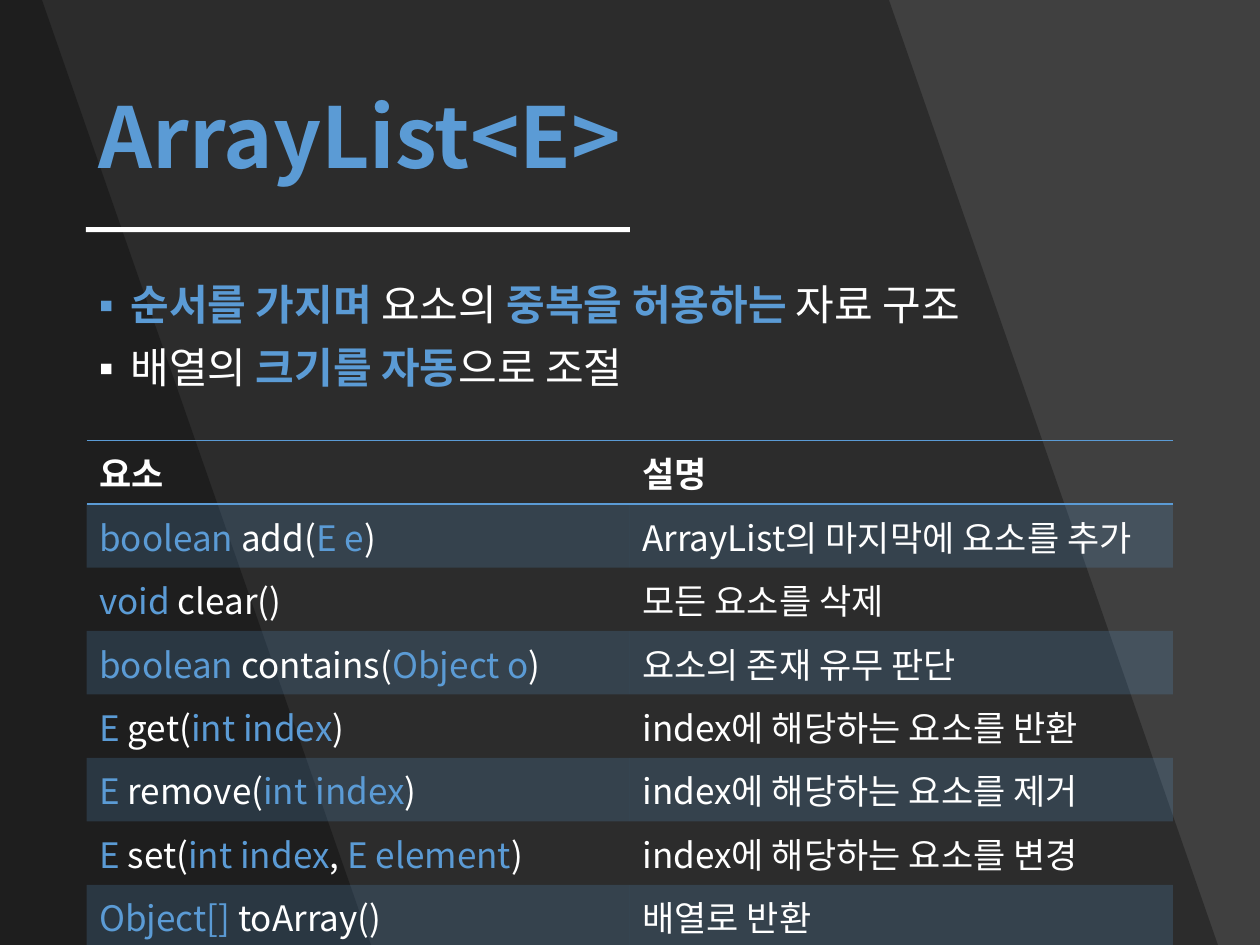
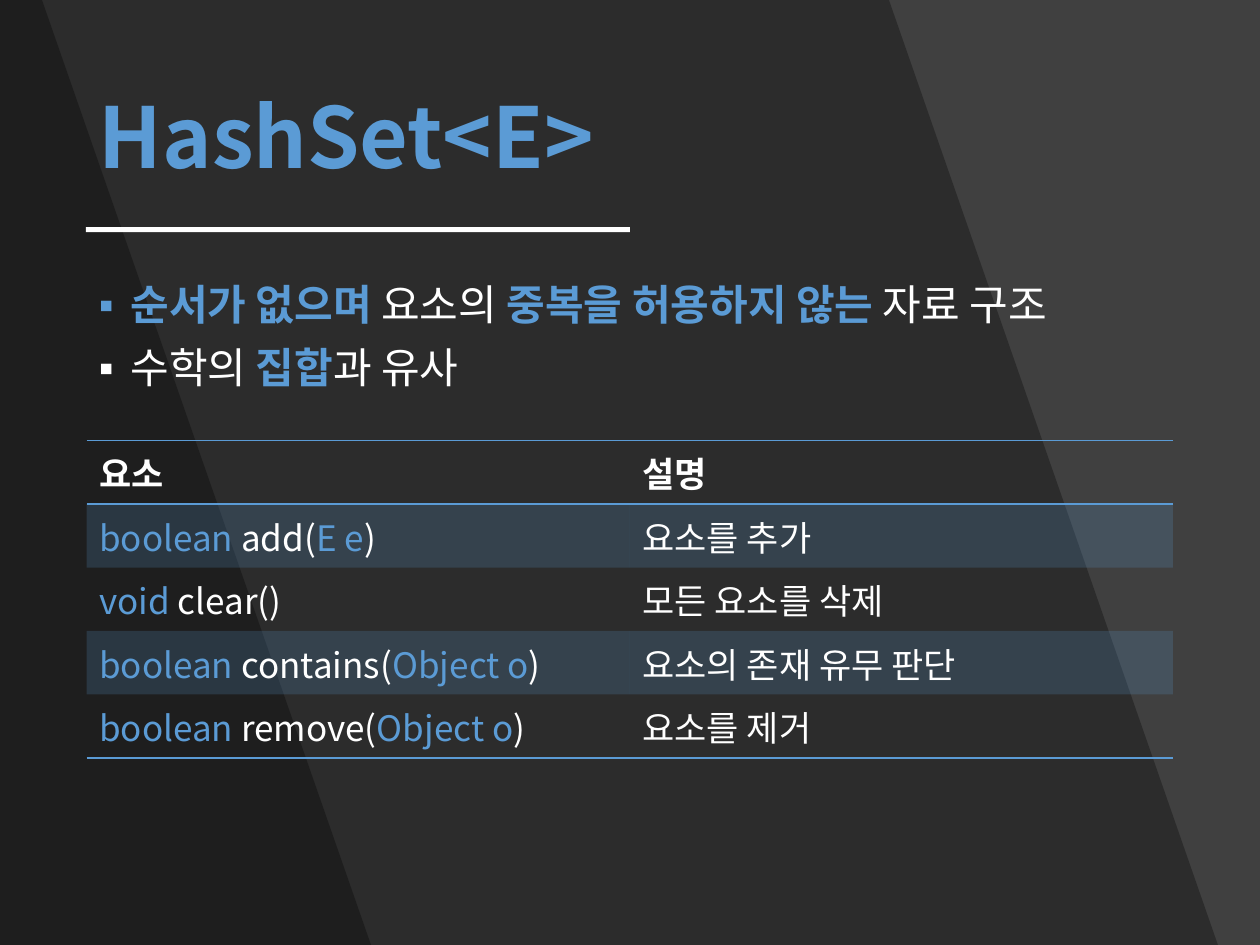
"""Build two slides on Java collections, each with a title, bullets and a method table."""
from lxml import etree
from pptx import Presentation
from pptx.dml.color import RGBColor
from pptx.enum import shapes, text
from pptx.oxml import ns
from pptx.util import Pt

ACCENT, WHITE, BLACK, BACKGROUND = "5B9BD5", "FFFFFF", "000000", "404040"
FONT, BULLET_FONT = "Noto Sans CJK KR", "Arial"
WIDTH, HEIGHT = 720, 540
LEFT, CONTENT_WIDTH = 49.5, 620.8
TABLE_TOP, ROW_HEIGHT = 251.8, 36.27
BAND_EDGES = [(508.5, 696.2), (23.8, 211.5)]
NO_STYLE = "{2D5ABB26-0587-4C30-8999-92F81FD0307C}"

HEADER = ("요소", "설명")
SLIDES = [
    {
        "title": "|ArrayList<E>|",
        "bullets": [
            "|순서를 가지며| 요소의 |중복을 허용하는| 자료 구조",
            "배열의 |크기를 자동|으로 조절",
        ],
        "methods": [
            ("|boolean| add(|E e|)", "ArrayList의 마지막에 요소를 추가"),
            ("|void| clear()", "모든 요소를 삭제"),
            ("|boolean| contains(|Object o|)", "요소의 존재 유무 판단"),
            ("|E| get(|int index|)", "index에 해당하는 요소를 반환"),
            ("|E| remove(|int index|)", "index에 해당하는 요소를 제거"),
            ("|E| set(|int index|, |E element|)", "index에 해당하는 요소를 변경"),
            ("|Object[] |toArray()", "배열로 반환"),
        ],
    },
    {
        "title": "|HashSet<E>|",
        "bullets": [
            "|순서가 없으며| 요소의 |중복을 허용하지 않는| 자료 구조",
            "수학의 |집합|과 유사",
        ],
        "methods": [
            ("|boolean| add(|E e|)", "요소를 추가"),
            ("|void| clear()", "모든 요소를 삭제"),
            ("|boolean| contains(|Object o|)", "요소의 존재 유무 판단"),
            ("|boolean| remove(|Object o|)", "요소를 제거"),
        ],
    },
]


def color(value):
    return RGBColor.from_string(value)


def add_element(parent, tag, **attributes):
    return etree.SubElement(parent, ns.qn(tag), attributes)


def set_format(target, values):
    for name, value in values.items():
        setattr(target, name, value)


def paint(fill, value):
    fill.solid()
    fill.fore_color.rgb = color(value)


def set_opacity(properties, percent):
    for item in properties.xpath("./a:solidFill/a:srgbClr"):
        add_element(item, "a:alpha", val=str(percent * 1000))


def write(paragraph, marked, size, bold=False, accent_bold=False):
    """Write text whose parts between bars take the accent colour."""
    for index, part in enumerate(marked.split("|")):
        if part:
            accented = index % 2 == 1
            run = paragraph.add_run()
            run.text = part
            set_format(run.font, {"size": Pt(size), "name": FONT,
                                  "bold": bold or (accented and accent_bold)})
            run.font.color.rgb = color(ACCENT if accented else WHITE)


def add_text_frame(slide, top, height, anchor):
    box = slide.shapes.add_textbox(Pt(LEFT), Pt(top), Pt(CONTENT_WIDTH), Pt(height))
    set_format(box.text_frame, {"word_wrap": True, "vertical_anchor": anchor})
    return box.text_frame


def add_backdrop(slide):
    paint(slide.background.fill, BACKGROUND)
    for top_edge, bottom_edge in BAND_EDGES:
        builder = slide.shapes.build_freeform(0, 0, scale=Pt(1))
        builder.add_line_segments([(top_edge, 0), (bottom_edge, HEIGHT), (0, HEIGHT)])
        band = builder.convert_to_shape()
        band.shadow.inherit = False
        band.line.fill.background()
        paint(band.fill, BLACK)
        set_opacity(band._element.spPr, 30)


def add_title(slide, title):
    paragraph = add_text_frame(slide, 28.8, 104.4, text.MSO_ANCHOR.MIDDLE).paragraphs[0]
    paragraph.line_spacing = 0.9
    write(paragraph, title, 48, accent_bold=True)
    rule = slide.shapes.add_shape(shapes.MSO_SHAPE.RECTANGLE,
                                  Pt(49), Pt(129.8), Pt(311), Pt(2.9))
    rule.shadow.inherit = False
    rule.line.fill.background()
    paint(rule.fill, WHITE)


def add_bullets(slide, bullets):
    frame = add_text_frame(slide, 159.1, 326.9, text.MSO_ANCHOR.TOP)
    for index, bullet in enumerate(bullets):
        paragraph = frame.add_paragraph() if index else frame.paragraphs[0]
        set_format(paragraph, {"line_spacing": 0.9, "space_before": Pt(10)})
        properties = paragraph._p.get_or_add_pPr()
        properties.set("marL", str(Pt(18)))
        properties.set("indent", str(Pt(-18)))
        add_element(properties, "a:buFont", typeface=BULLET_FONT)
        add_element(properties, "a:buChar", char="▪")
        write(paragraph, bullet, 24, accent_bold=True)


def add_border(cell, tag):
    line = add_element(cell._tc.get_or_add_tcPr(), tag, w=str(Pt(1)))
    add_element(add_element(line, "a:solidFill"), "a:srgbClr", val=ACCENT)


def add_methods(slide, methods):
    rows = [HEADER, *methods]
    table = slide.shapes.add_table(len(rows), len(HEADER), Pt(LEFT), Pt(TABLE_TOP),
                                   Pt(CONTENT_WIDTH), Pt(ROW_HEIGHT * len(rows))).table
    set_format(table, {"first_row": False, "horz_banding": False})
    table._tbl.tblPr.find(ns.qn("a:tableStyleId")).text = NO_STYLE
    for row_index, row in enumerate(rows):
        for column_index, content in enumerate(row):
            cell = table.cell(row_index, column_index)
            cell.vertical_anchor = text.MSO_ANCHOR.MIDDLE
            write(cell.text_frame.paragraphs[0], content, 20, bold=row_index == 0)
            if row_index == 0:
                add_border(cell, "a:lnT")
            if row_index in (0, len(rows) - 1):
                add_border(cell, "a:lnB")
            if row_index % 2:
                paint(cell.fill, ACCENT)
                set_opacity(cell._tc.tcPr, 20)
            else:
                cell.fill.background()


presentation = Presentation()
set_format(presentation, {"slide_width": Pt(WIDTH), "slide_height": Pt(HEIGHT)})
for content in SLIDES:
    slide = presentation.slides.add_slide(presentation.slide_layouts[6])
    add_backdrop(slide)
    add_title(slide, content["title"])
    add_bullets(slide, content["bullets"])
    add_methods(slide, content["methods"])
presentation.save("out.pptx")
